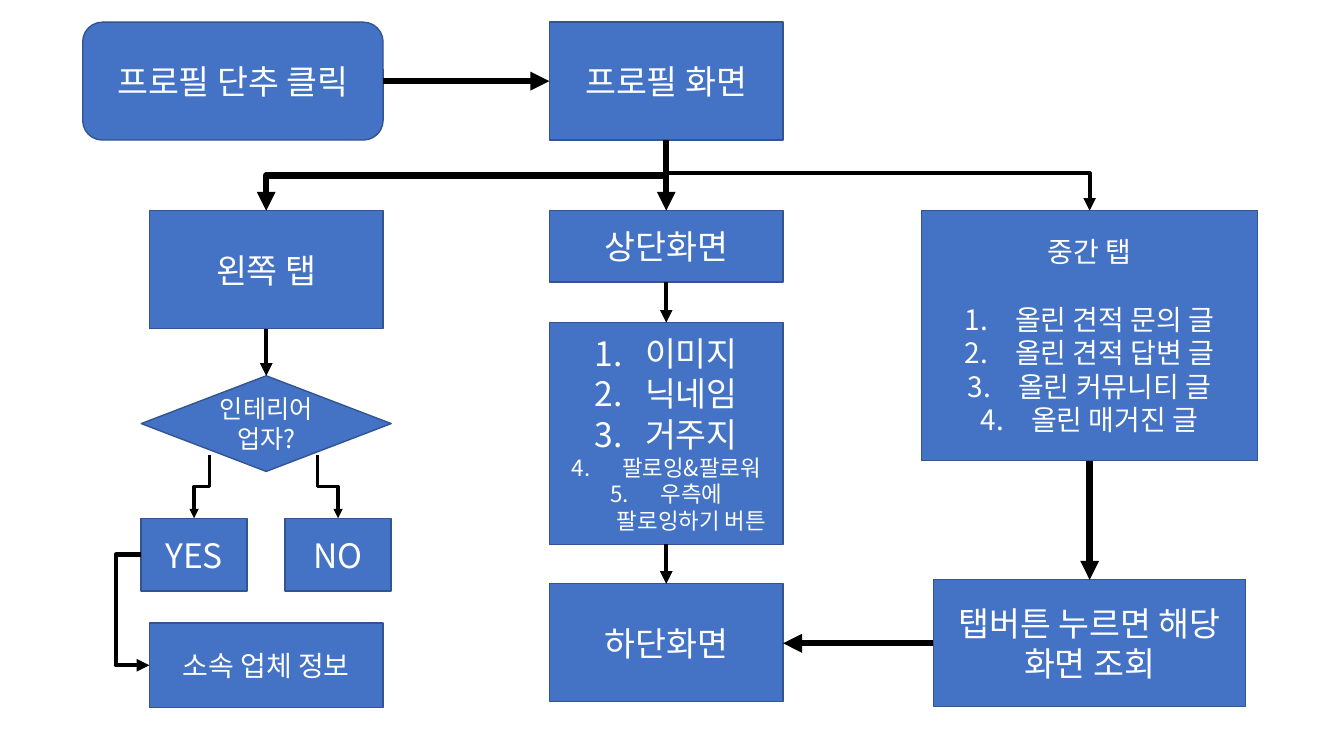
"""Builds the profile screen flowchart slide."""
from lxml import etree
from pptx import Presentation
from pptx.dml.color import RGBColor
from pptx.enum import shapes, text
from pptx.oxml import ns
from pptx.util import Cm, Pt

THEME = {
    "font": "Noto Sans CJK KR",
    "fill": RGBColor.from_string("4472C4"),
    "edge": RGBColor.from_string("325491"),
    "ink": RGBColor.from_string("FFFFFF"),
    "line": RGBColor.from_string("000000"),
    "big": 24, "mid": 20, "small": 18, "tiny": 16,
    "thick": 4.5, "norm": 3, "thin": 2.25,
}
KINDS = shapes.MSO_SHAPE
LEFT, MAIN, RIGHT = 6.71, 16.79, 27.46
WIDE, TALL = 5.89, 2.97

# name: (centre x, top, width, height, size, text)
BOXES = {
    "start": (5.87, 0.56, 7.57, TALL, "big", "프로필 단추 클릭"),
    "home": (MAIN, 0.56, WIDE, TALL, "big", "프로필 화면"),
    "upper": (MAIN, 5.31, WIDE, 1.8, "big", "상단화면"),
    "left": (LEFT, 5.31, WIDE, TALL, "big", "왼쪽 탭"),
    "lower": (MAIN, 14.71, WIDE, TALL, "big", "하단화면"),
    "list": (MAIN, 8.13, WIDE, 5.59, "big", ""),
    "test": (LEFT, 9.47, 6.3, 2.41, "small", "인테리어 업자?"),
    "yes": (4.89, 13.06, 2.67, 1.83, "big", "YES"),
    "no": (8.52, 13.06, 2.67, 1.83, "big", "NO"),
    "firm": (LEFT, 15.7, WIDE, 2.13, "mid", "소속 업체 정보"),
    "middle": (RIGHT, 5.31, 8.46, 6.3, "mid", "중간 탭"),
    "view": (RIGHT, 14.61, 7.87, 3.2, "big", "탭버튼 누르면 해당 화면 조회"),
}
FORMS = {"start": KINDS.ROUNDED_RECTANGLE, "test": KINDS.DIAMOND}
ITEMS = {
    "list": [("이미지", "big"), ("닉네임", "big"), ("거주지", "big"),
             ("팔로잉&팔로워", "tiny"), ("우측에 팔로잉하기 버튼", "tiny")],
    "middle": [(word, "mid") for word in (
        "올린 견적 문의 글", "올린 견적 답변 글",
        "올린 커뮤니티 글", "올린 매거진 글")],
}
DROPS = [("home", "upper", "thick"), ("upper", "list", "norm"),
         ("list", "lower", "norm"), ("left", "test", "norm"),
         ("middle", "view", "thick")]
FORKS = [("left", 4.42, "thick"), ("middle", 4.37, "norm")]
STEPS = [("yes", 5.28), ("no", 8.0)]
STEP_TOP, LOOP = 11.46, 0.64


def side(name, edge):
    """Return the midpoint of one edge of a box."""
    mid, top, wide, tall = BOXES[name][:4]
    dx, dy = {"l": (-1, 0), "r": (1, 0), "t": (0, -1), "b": (0, 1)}[edge]
    return mid + dx * wide / 2, top + (1 + dy) * tall / 2


def write(para, words, size):
    """Fill one centred paragraph."""
    para.text = words
    para.alignment = text.PP_ALIGN.CENTER
    font = para.font
    font.size = Pt(THEME[size])
    font.name = THEME["font"]
    font.color.rgb = THEME["ink"]
    props = para._p.pPr.find(ns.qn("a:defRPr"))
    etree.SubElement(props, ns.qn("a:ea"), typeface=THEME["font"])


def number(para):
    """Give a paragraph an automatic number and a hanging indent."""
    props = para._p.pPr
    props.set("marL", str(Cm(1.27)))
    props.set("indent", str(-Cm(1.27)))
    mark = etree.Element(ns.qn("a:buAutoNum"), type="arabicPeriod")
    props.insert(0, mark)


def box(slide, name):
    """Draw one box with its text and numbered items."""
    mid, top, wide, tall, size, words = BOXES[name]
    shape = slide.shapes.add_shape(
        FORMS.get(name, KINDS.RECTANGLE),
        Cm(mid - wide / 2), Cm(top), Cm(wide), Cm(tall))
    shape.shadow.inherit = False
    shape.fill.solid()
    shape.fill.fore_color.rgb = THEME["fill"]
    shape.line.color.rgb = THEME["edge"]
    shape.line.width = Pt(1)
    frame = shape.text_frame
    frame.word_wrap = True
    frame.vertical_anchor = text.MSO_ANCHOR.MIDDLE
    para = frame.paragraphs[0]
    if words:
        write(para, words, size)
    for i, (item, size) in enumerate(ITEMS.get(name, [])):
        if words and i == 0:
            para.space_after = Pt(24)
        if words or i:
            para = frame.add_paragraph()
        write(para, item, size)
        number(para)


def arrow(slide, start, end, weight, bent=False):
    """Draw a connector with an arrowhead at its end."""
    kind = shapes.MSO_CONNECTOR.ELBOW if bent else shapes.MSO_CONNECTOR.STRAIGHT
    link = slide.shapes.add_connector(kind, *(Cm(n) for n in (*start, *end)))
    link.line.color.rgb = THEME["line"]
    link.line.width = Pt(THEME[weight])
    etree.SubElement(link.line._get_or_add_ln(), ns.qn("a:tailEnd"),
                     type="triangle")
    etree.SubElement(link._element.spPr, ns.qn("a:effectLst"))
    return link


def step(slide, start, end):
    """Draw an elbow that leaves and arrives vertically."""
    link = arrow(slide, start, end, "thin", True)
    (x, y), (u, v) = start, end
    wide, tall = v - y, abs(u - x)
    link.left, link.top = Cm((x + u - wide) / 2), Cm((y + v - tall) / 2)
    link.width, link.height = Cm(wide), Cm(tall)
    frame = link._element.spPr.find(ns.qn("a:xfrm"))
    frame.attrib.pop("flipH", None)
    frame.set("rot", str((90 if u < x else 270) * 60000))
    if u > x:
        frame.set("flipH", "1")


def main():
    """Build and save the slide."""
    deck = Presentation()
    deck.slide_width, deck.slide_height = Cm(33.87), Cm(19.05)
    slide = deck.slides.add_slide(deck.slide_layouts[6])
    for name in BOXES:
        box(slide, name)
    for head, foot, weight in DROPS:
        arrow(slide, side(head, "b"), side(foot, "t"), weight)
    arrow(slide, side("start", "r"), side("home", "l"), "thick")
    x, y = side("view", "l")
    arrow(slide, (x, y), (side("lower", "r")[0], y), "thick")
    for name, level, weight in FORKS:
        link = arrow(slide, (MAIN, level), side(name, "t"), weight, True)
        link._element.spPr.find(ns.qn("a:prstGeom")).set("prst", "bentConnector2")
    for name, x in STEPS:
        step(slide, (x, STEP_TOP), side(name, "t"))
    start, end = side("yes", "l"), side("firm", "l")
    link = arrow(slide, start, end, "norm", True)
    bend = round(-LOOP / (end[0] - start[0]) * 100000)
    guides = link._element.spPr.find(ns.qn("a:prstGeom")).find(ns.qn("a:avLst"))
    etree.SubElement(guides, ns.qn("a:gd"), name="adj1", fmla=f"val {bend}")
    deck.save("out.pptx")


main()
